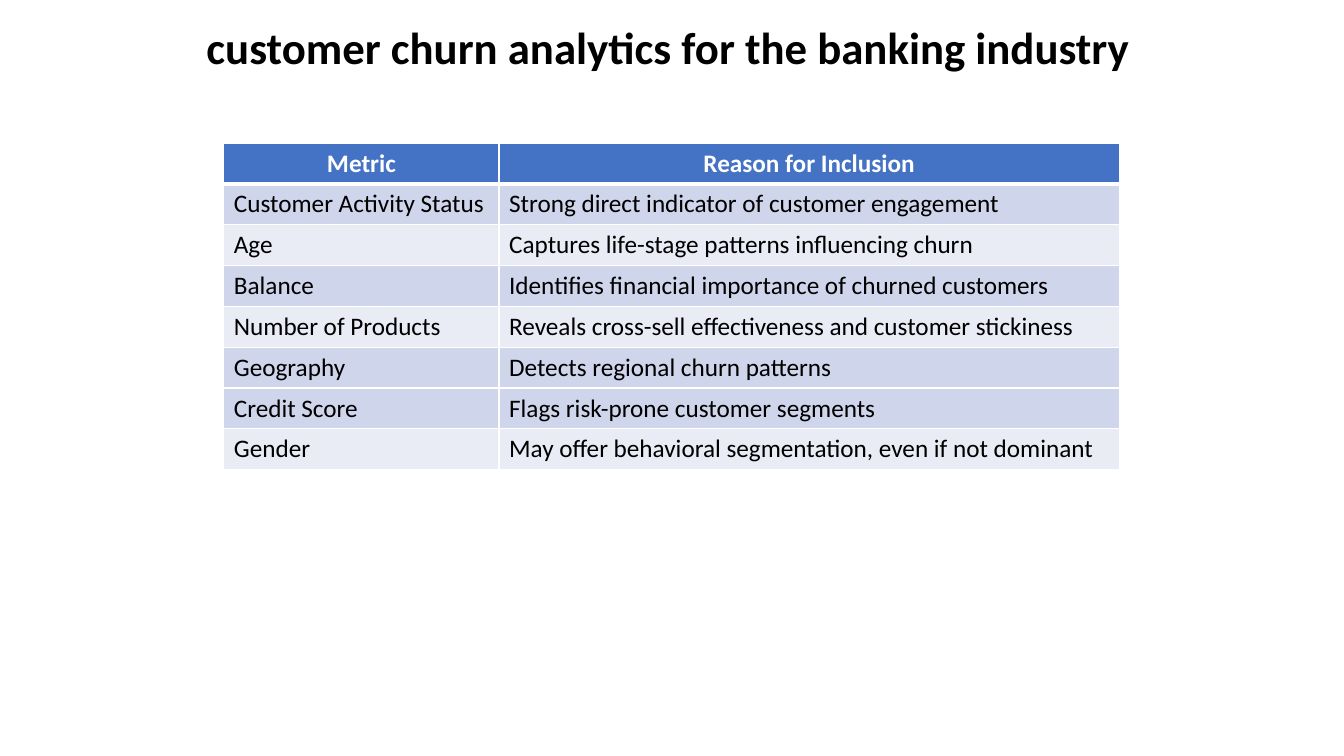
"""Build a slide listing the metrics chosen for customer churn analytics."""
from dataclasses import dataclass

import pptx
import pptx.dml.color
import pptx.enum.text
import pptx.oxml
import pptx.oxml.ns
import pptx.util

Inches = pptx.util.Inches
ALIGN = pptx.enum.text.PP_ALIGN
MIDDLE = pptx.enum.text.MSO_ANCHOR.MIDDLE

FONT = "Calibri"
BLACK, WHITE, BLUE = "000000", "FFFFFF", "4472C4"
BANDS = ("CFD5EA", "E9EBF5")
LEFT, ROW_HEIGHT = 2.22, 0.405
COLUMN_WIDTHS = (2.73, 6.15)


@dataclass
class Metric:
    name: str
    reason: str


@dataclass
class MetricTable:
    top: float
    metrics: list[Metric]
    header: Metric | None = None


TABLES = [
    MetricTable(1.42, [
        Metric("Customer Activity Status", "Strong direct indicator of customer engagement"),
        Metric("Age", "Captures life-stage patterns influencing churn"),
        Metric("Balance", "Identifies financial importance of churned customers"),
        Metric("Number of Products", "Reveals cross-sell effectiveness and customer stickiness"),
        Metric("Geography", "Detects regional churn patterns"),
    ], Metric("Metric", "Reason for Inclusion")),
    MetricTable(3.85, [
        Metric("Credit Score", "Flags risk-prone customer segments"),
        Metric("Gender", "May offer behavioral segmentation, even if not dominant"),
    ]),
]


def color(value: str) -> pptx.dml.color.RGBColor:
    return pptx.dml.color.RGBColor.from_string(value)


def add_run(p, text: str, size: float, fill: str, bold: bool) -> None:
    r = p.add_run()
    r.text = text
    r.font.name = FONT
    r.font.size = pptx.util.Pt(size)
    r.font.bold = bold
    r.font.color.rgb = color(fill)


def set_borders(cell, top: float, bottom: float) -> None:
    tc_pr = cell._tc.get_or_add_tcPr()
    for side, width in (("L", 1), ("R", 1), ("T", top), ("B", bottom)):
        tc_pr.append(pptx.oxml.parse_xml(
            f'<a:ln{side} {pptx.oxml.ns.nsdecls("a")} w="{pptx.util.Pt(width)}">'
            f'<a:solidFill><a:srgbClr val="{WHITE}"/></a:solidFill></a:ln{side}>'))


def add_title(s, text: str) -> None:
    sp = s.shapes.add_textbox(Inches(1.95), Inches(0.15), Inches(9.44), Inches(0.64))
    tf = sp.text_frame
    tf.word_wrap = False
    tf.auto_size = pptx.enum.text.MSO_AUTO_SIZE.SHAPE_TO_FIT_TEXT
    add_run(tf.paragraphs[0], text, 32, BLACK, True)


def add_metric_table(s, spec: MetricTable) -> None:
    has_header = spec.header is not None
    rows = ([spec.header] if has_header else []) + spec.metrics
    table = s.shapes.add_table(
        len(rows), len(COLUMN_WIDTHS), Inches(LEFT), Inches(spec.top),
        Inches(sum(COLUMN_WIDTHS)), Inches(ROW_HEIGHT * len(rows))).table
    table.first_row = has_header
    for column, width in zip(table.columns, COLUMN_WIDTHS):
        column.width = Inches(width)
    for i, metric in enumerate(rows):
        table.rows[i].height = Inches(ROW_HEIGHT)
        is_header = has_header and i == 0
        band = BANDS[(i - has_header) % len(BANDS)]
        for j, text in enumerate((metric.name, metric.reason)):
            cell = table.cell(i, j)
            cell.vertical_anchor = MIDDLE
            set_borders(cell, 3 if has_header and i == 1 else 1, 3 if is_header else 1)
            cell.fill.solid()
            cell.fill.fore_color.rgb = color(BLUE if is_header else band)
            p = cell.text_frame.paragraphs[0]
            p.alignment = ALIGN.CENTER if is_header else ALIGN.LEFT
            add_run(p, text, 18, WHITE if is_header else BLACK, is_header)


def main() -> None:
    prs = pptx.Presentation()
    prs.slide_width, prs.slide_height = Inches(13.33), Inches(7.5)
    s = prs.slides.add_slide(prs.slide_layouts[6])
    add_title(s, "customer churn analytics for the banking industry")
    for spec in TABLES:
        add_metric_table(s, spec)
    prs.save("out.pptx")


if __name__ == "__main__":
    main()
